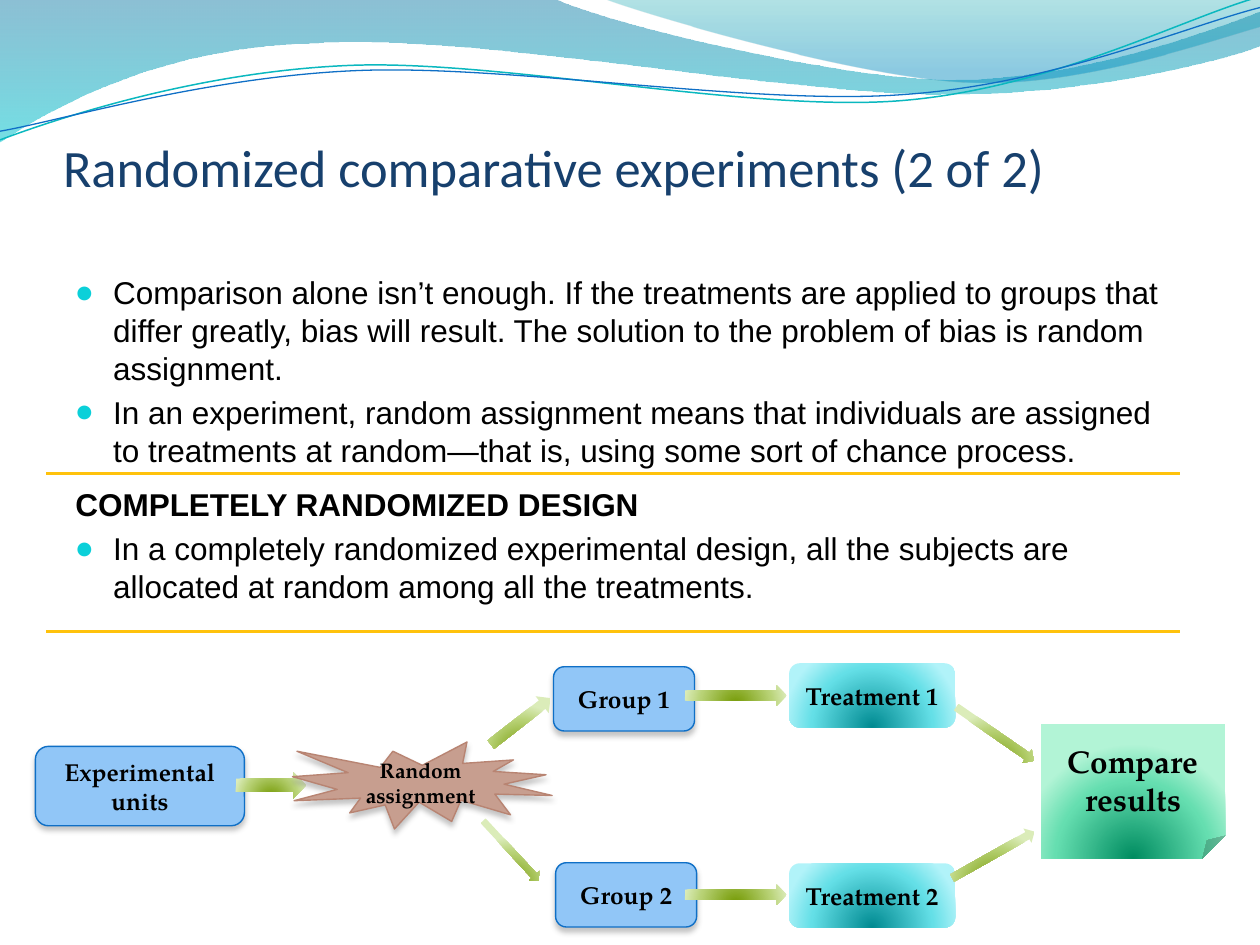
from lxml.etree import SubElement
from pptx import Presentation
from pptx.dml.color import RGBColor
from pptx.enum.shapes import MSO_CONNECTOR as Connector, MSO_SHAPE as Shape
from pptx.enum.text import MSO_ANCHOR as Anchor, MSO_AUTO_SIZE as AutoSize, PP_ALIGN as Align
from pptx.oxml.ns import qn
from pptx.util import Pt

SERIF = "TeX Gyre Pagella"
GREEN = ("729800", "B8D275", "DBECB9")
TEAL = ("008A91", "64DFE7", "B1F3F9")
MINT = ("008C60", "65DEB0", "B2F4D6")
BLUE_BOX = ("91C6F7", "0F6FC6")
BROWN_BURST = ("C79E8F", "B88472")

WAVES = [
    ((0, 0), [(316.8, -0.7), (342.7, 12.2, 478.1, 45.4, 545.8, 45.4),
              (614.2, 45.4, 689.8, 18.7, 720, 6.5), (720.7, 25.9),
              (707.8, 31.7, 626.4, 54.7, 537.1, 54), (447.8, 54, 275, 20.2, 185, 24.5),
              (92.9, 25.9, 33.1, 59.8, -0.7, 81.4), (0, 0)],
     [(0, "0074A1", 45), (100, "00C6CF", 55)]),
    ((344.9, -0.7), [(366.5, 7.9, 491, 44.6, 553.7, 46.8),
                     (616.3, 49.7, 691.9, 23, 720, 15.1), (720, 0), (344.9, -0.7)],
     [(0, "00A1A9", 30), (80, "008BBF", 45)]),
]
RIPPLES = [
    ((-1.4, 63), [(33.8, 51.7, 114.1, 29.4, 199.8, 29.9), (284.9, 30.3, 425.8, 67.3, 512.4, 64.9),
                  (599, 62.4, 676.5, 25.7, 720.2, 15.5)], "0AB8BF", 0.85),
    ((-1.1, 58), [(32.9, 53.8, 118.3, 32.5, 204.1, 33), (290.6, 33.4, 428.9, 63.8, 515.5, 61.4),
                  (601.3, 59.6, 678.5, 30.1, 721.4, 21.3)], "0F6FC6", 0.75),
]
BODY = [
    ("Comparison alone isn’t enough. If the treatments are applied to groups that differ greatly, "
     "bias will result. The solution to the problem of bias is random assignment.", True, 0, 0),
    ("In an experiment, random assignment means that individuals are assigned to treatments at "
     "random—that is, using some sort of chance process.", True, 3.6, 6),
    ("COMPLETELY RANDOMIZED DESIGN", False, 3.6, 0),
    ("In a completely randomized experimental design, all the subjects are allocated at random "
     "among all the treatments.", True, 3.6, 0),
]
BRANCH_ARROWS = [
    (276, 406.1, 43.2, 12.2, 322.1), (268.6, 482.2, 46.8, 7.9, 47.1),
    (391.3, 391.7, 58.3, 11.5, 0), (391.3, 505.6, 58.3, 11.5, 0),
    (541.6, 414.7, 54, 9.4, 34.7), (540.7, 483.8, 54, 9.4, 330.6),
]


def rgb(color):
    """Return the colour for a hex string."""
    return RGBColor.from_string(color)


def add_color(parent, color, alpha=100):
    """Append a colour element with an opacity in percent."""
    node = SubElement(parent, qn("a:srgbClr"), val=color)
    if alpha < 100:
        SubElement(node, qn("a:alpha"), val=str(alpha * 1000))


def fill_gradient(shape, stops, radial=False):
    """Fill a shape with a vertical or a circular gradient."""
    shape.fill.solid()
    solid = shape.element.spPr.find(qn("a:solidFill"))
    gradient = SubElement(shape.element.spPr, qn("a:gradFill"), rotWithShape="1")
    stop_list = SubElement(gradient, qn("a:gsLst"))
    for position, color, alpha in stops:
        add_color(SubElement(stop_list, qn("a:gs"), pos=str(position * 1000)), color, alpha)
    if radial:
        circle = SubElement(gradient, qn("a:path"), path="circle")
        SubElement(circle, qn("a:fillToRect"), l="50000", t="130000", r="50000", b="-30000")
    else:
        SubElement(gradient, qn("a:lin"), ang="5400000", scaled="1")
    shape.element.spPr.replace(solid, gradient)


def add_shadow(shape):
    """Give a shape a soft grey shadow that falls downwards."""
    shape.shadow.inherit = False
    effects = shape.element.spPr.find(qn("a:effectLst"))
    shadow = SubElement(effects, qn("a:outerShdw"), blurRad=str(Pt(3)), dist=str(Pt(2.4)),
                        dir="5400000", rotWithShape="0")
    add_color(shadow, "808080", 45)


def write(paragraph, text, size, font=SERIF, color="000000", bold=False, align=Align.LEFT):
    """Write one formatted run into a paragraph."""
    paragraph.alignment = align
    run = paragraph.add_run()
    run.text = text
    run.font.size, run.font.name, run.font.bold = Pt(size), font, bold
    run.font.color.rgb = rgb(color)


def add_bullet(paragraph):
    """Give a paragraph a turquoise dot and a hanging indent."""
    properties = paragraph._p.get_or_add_pPr()
    properties.set("marL", str(Pt(21.6)))
    properties.set("indent", str(Pt(-21.6)))
    add_color(SubElement(properties, qn("a:buClr")), "0BD0D9")
    SubElement(properties, qn("a:buSzPct"), val="95000")
    SubElement(properties, qn("a:buFont"), typeface="Calibri")
    SubElement(properties, qn("a:buChar"), char="●")


def add_curve(slide, start, segments, closed):
    """Draw an outline of straight and cubic segments."""
    points = [(Pt(x), Pt(y)) for segment in segments for x, y in zip(segment[::2], segment[1::2])]
    builder = slide.shapes.build_freeform(Pt(start[0]), Pt(start[1]))
    builder.add_line_segments(points, close=closed)
    curve = builder.convert_to_shape()
    curve.shadow.inherit = False
    lines = iter(list(curve.element.spPr.iter(qn("a:lnTo"))))
    for segment in segments:
        first, *others = [next(lines) for _ in segment[::2]]
        if others:
            outline = first.getparent()
            cubic = SubElement(outline, qn("a:cubicBezTo"))
            outline.replace(first, cubic)
            cubic.append(first[0])
            for line in others:
                cubic.append(line[0])
                outline.remove(line)
    return curve


def add_header(slide):
    """Draw the waves and ripples along the top."""
    for start, segments, stops in WAVES:
        wave = add_curve(slide, start, segments, True)
        fill_gradient(wave, stops)
        wave.line.fill.background()
    for start, segments, color, width in RIPPLES:
        ripple = add_curve(slide, start, segments, False)
        ripple.rotation = 357.3
        ripple.fill.background()
        ripple.line.color.rgb = rgb(color)
        ripple.line.width = Pt(width)


def add_title(slide, text):
    """Place and format the slide title."""
    title = slide.shapes.title
    title.left, title.top, title.width, title.height = Pt(36), Pt(74.9), Pt(648), Pt(38.2)
    frame = title.text_frame
    frame.margin_left = frame.margin_right = frame.margin_bottom = 0
    frame.vertical_anchor, frame.auto_size = Anchor.BOTTOM, AutoSize.NONE
    write(frame.paragraphs[0], text, 30, font="Calibri", color="17406D")


def add_body(slide):
    """Add the bulleted explanation and its heading."""
    frame = slide.shapes.add_textbox(Pt(36), Pt(152.6), Pt(638.6), Pt(253.4)).text_frame
    frame.word_wrap = True
    for index, (text, bulleted, before, after) in enumerate(BODY):
        paragraph = frame.add_paragraph() if index else frame.paragraphs[0]
        paragraph.space_before, paragraph.space_after = Pt(before), Pt(after)
        if bulleted:
            add_bullet(paragraph)
        write(paragraph, text, 18, font="Arial", bold=not bulleted)


def add_flat(slide, kind, colors, bounds, text, size=14):
    """Add an outlined step of the diagram with its label."""
    step = slide.shapes.add_shape(kind, *map(Pt, bounds))
    step.fill.solid()
    step.fill.fore_color.rgb = rgb(colors[0])
    step.line.color.rgb = rgb(colors[1])
    step.line.width = Pt(0.79)
    add_shadow(step)
    add_label(step, text, size)


def add_glossy(slide, kind, colors, bounds, text="", size=14, rotation=0):
    """Add a step or arrow with a circular gradient."""
    step = slide.shapes.add_shape(kind, *map(Pt, bounds))
    step.rotation = rotation
    fill_gradient(step, [(p, c, 100) for p, c in zip((0, 68, 100), colors)], radial=True)
    step.line.fill.background()
    step.shadow.inherit = False
    if text:
        add_label(step, text, size)


def add_label(step, text, size):
    """Centre a bold label in a step."""
    step.text_frame.word_wrap = True
    step.text_frame.vertical_anchor = Anchor.MIDDLE
    write(step.text_frame.paragraphs[0], text, size, bold=True, align=Align.CENTER)


def add_rule(slide, y):
    """Draw a yellow rule across the body."""
    rule = slide.shapes.add_connector(Connector.STRAIGHT, Pt(26.4), Pt(y), Pt(674.4), Pt(y))
    rule.line.color.rgb = rgb("FFC20C")
    rule.line.width = Pt(1.5)
    SubElement(rule.element.spPr, qn("a:effectLst"))


def add_diagram(slide):
    """Draw the flow from experimental units to compared results."""
    add_flat(slide, Shape.ROUNDED_RECTANGLE, BLUE_BOX, (20.2, 426.5, 119.5, 45.4),
             "Experimental units")
    add_glossy(slide, Shape.RIGHT_ARROW, GREEN, (134.8, 441.2, 40.3, 15.1))
    add_flat(slide, Shape.EXPLOSION1, BROWN_BURST, (167.2, 424, 148.3, 49.7),
             "Random assignment", size=12)
    branches = [(316.3, 381, 379), (317.5, 493, 493.3)]
    for number, (group_x, group_y, treatment_y) in enumerate(branches, 1):
        add_flat(slide, Shape.ROUNDED_RECTANGLE, BLUE_BOX, (group_x, group_y, 80.6, 36.7),
                 f"Group {number}")
        add_glossy(slide, Shape.ROUNDED_RECTANGLE, TEAL, (450.9, treatment_y, 95, 36.7),
                   f"Treatment {number}")
    add_glossy(slide, Shape.FOLDED_CORNER, MINT, (595, 413.5, 105.1, 77), "Compare results", 18)
    for *bounds, rotation in BRANCH_ARROWS:
        add_glossy(slide, Shape.RIGHT_ARROW, GREEN, bounds, rotation=rotation)


def main():
    """Build and save the slide."""
    deck = Presentation()
    deck.slide_width, deck.slide_height = Pt(720), Pt(540)
    slide = deck.slides.add_slide(deck.slide_layouts[5])
    add_header(slide)
    add_title(slide, "Randomized comparative experiments (2 of 2)")
    add_body(slide)
    add_diagram(slide)
    for y in (270.7, 360.7):
        add_rule(slide, y)
    deck.save("out.pptx")


if __name__ == "__main__":
    main()
